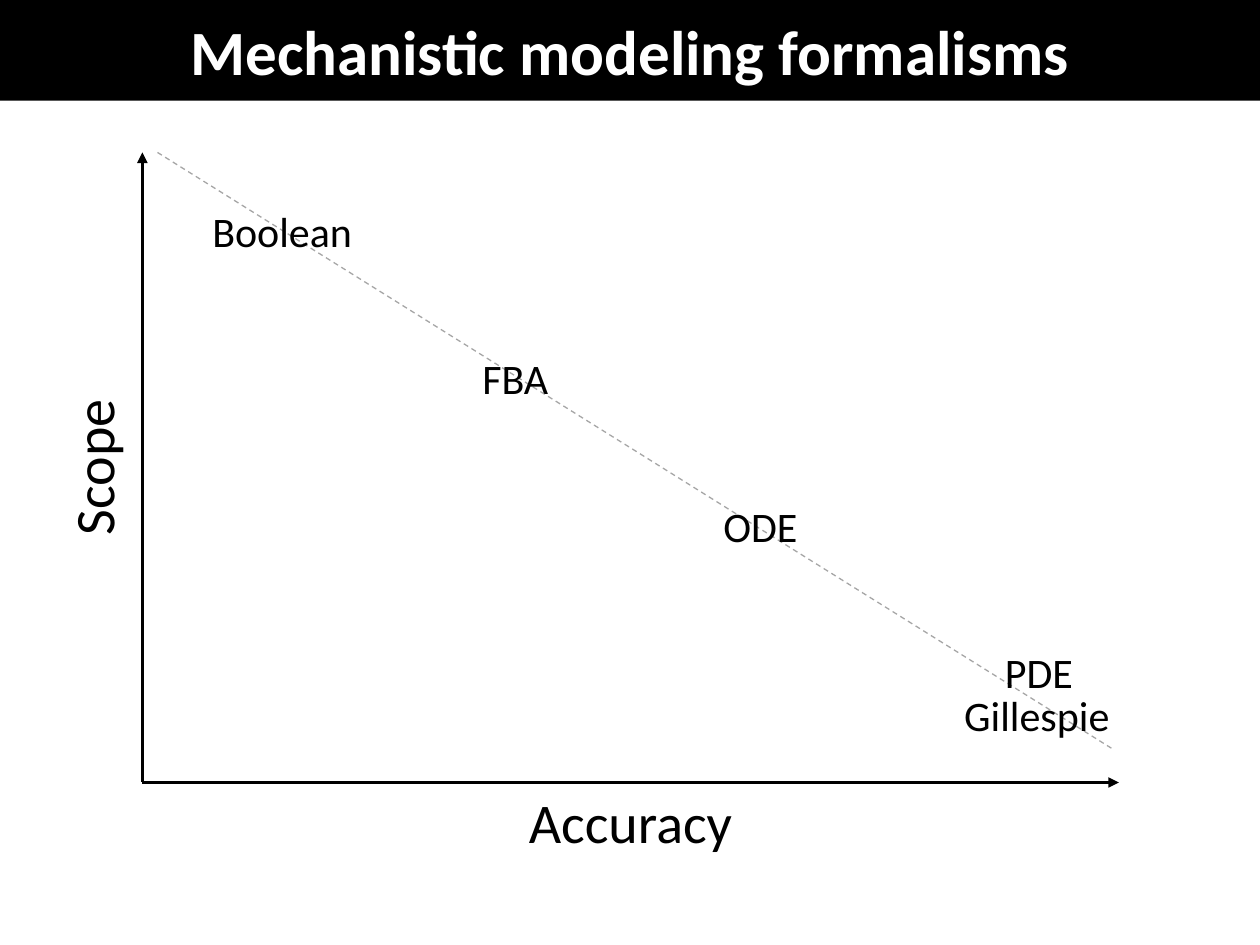
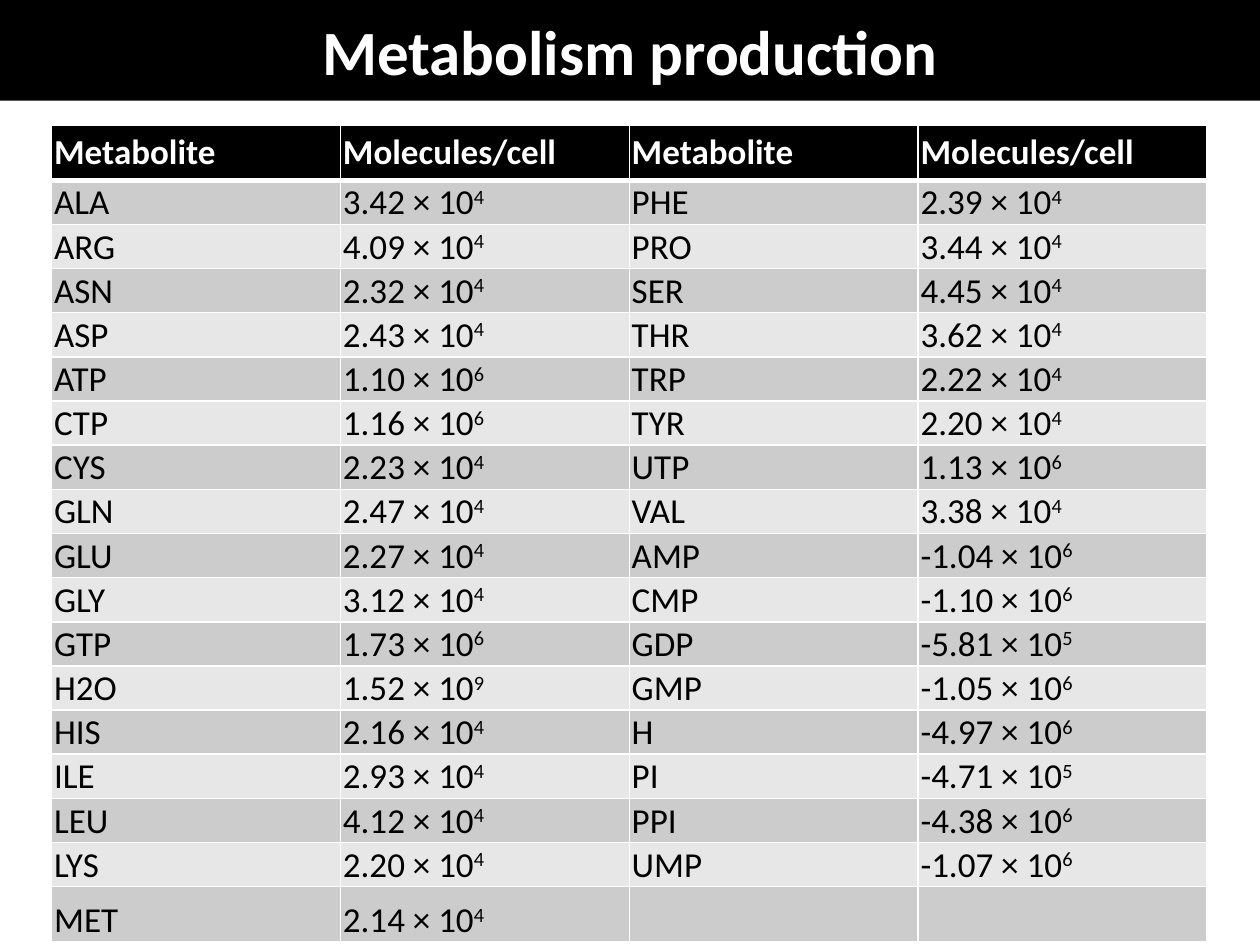
from lxml import etree
from pptx import Presentation
from pptx.dml.color import RGBColor
from pptx.enum import dml, shapes, text
from pptx.oxml import ns
from pptx.util import Inches, Pt

FONT = "Calibri"
BLACK, WHITE = "000000", "FFFFFF"
BANDS = ["E7E7E7", "CCCCCC"]


def rgb(value):
    return RGBColor.from_string(value)


def write(tf, content, size=20, color=BLACK, bold=False, align=text.PP_ALIGN.LEFT):
    """Fill a text frame; what follows a ^ is set as superscript."""
    p = tf.paragraphs[0]
    p.alignment = align
    for i, part in enumerate(content.split("^")):
        r = p.add_run()
        r.text = part
        r.font.name, r.font.size, r.font.bold = FONT, Pt(size), bold
        r.font.color.rgb = rgb(color)
        if i:
            r._r.get_or_add_rPr().set("baseline", "30000")


prs = Presentation()
prs.slide_width, prs.slide_height = Inches(10), Inches(7.5)

# Title band on every slide
slides = []
for title in ["Mechanistic modeling formalisms", "Metabolism production"]:
    slide = prs.slides.add_slide(prs.slide_layouts[6])
    band = slide.shapes.add_shape(shapes.MSO_SHAPE.RECTANGLE, 0, 0, prs.slide_width, Inches(0.8))
    band.shadow.inherit = False
    band.fill.solid()
    band.fill.fore_color.rgb = rgb(BLACK)
    band.line.fill.background()
    tf = band.text_frame
    tf.margin_left = tf.margin_right = tf.margin_top = tf.margin_bottom = 0
    tf.vertical_anchor = text.MSO_ANCHOR.MIDDLE
    write(tf, title, size=36, color=WHITE, bold=True, align=text.PP_ALIGN.CENTER)
    slides.append(slide)
formalisms, production = slides

# Scope against accuracy: trend line, then the two axes as one group
axes = formalisms.shapes.add_group_shape()
ORIGIN = (1.13, 6.21)
for parent, start, end, color, width, is_axis in [
    (formalisms, (1.25, 1.21), (8.84, 5.95), "A6A6A6", 0.75, False),
    (axes, (1.13, 1.21), ORIGIN, BLACK, 2, True),
    (axes, (8.88, 6.21), ORIGIN, BLACK, 2, True),
]:
    line = parent.shapes.add_connector(
        shapes.MSO_CONNECTOR.STRAIGHT, *[Inches(v) for v in start + end])
    line.line.color.rgb = rgb(color)
    line.line.width = Pt(width)
    if is_axis:
        etree.SubElement(line.line._get_or_add_ln(), ns.qn("a:headEnd"), type="triangle")
    else:
        line.line.dash_style = dml.MSO_LINE.DASH
    etree.SubElement(line._element.spPr, ns.qn("a:effectLst"))

for label, left, top, width, height, size, rotation in [
    ("Accuracy", 3.98, 6.2, 2.05, 0.64, 32, 0),
    ("Scope", 0, 3.39, 1.47, 0.64, 32, 270),
    ("ODE", 5.57, 3.92, 0.93, 0.5, 24, 0),
    ("FBA", 3.66, 2.75, 0.86, 0.5, 24, 0),
    ("Boolean", 1.56, 1.58, 1.36, 0.5, 24, 0),
    ("Gillespie", 7.55, 5.42, 1.36, 0.5, 24, 0),
    ("PDE", 7.8, 5.08, 0.89, 0.5, 24, 0),
]:
    box = formalisms.shapes.add_textbox(
        Inches(left), Inches(top), Inches(width), Inches(height))
    box.rotation = rotation
    box.text_frame.word_wrap = False
    box.text_frame.auto_size = text.MSO_AUTO_SIZE.SHAPE_TO_FIT_TEXT
    write(box.text_frame, label, size=size, align=text.PP_ALIGN.CENTER)

# Metabolites: name, mantissa and exponent of molecules per cell
LEFT_HALF = """ALA 3.42 4, ARG 4.09 4, ASN 2.32 4, ASP 2.43 4, ATP 1.10 6, CTP 1.16 6,
    CYS 2.23 4, GLN 2.47 4, GLU 2.27 4, GLY 3.12 4, GTP 1.73 6, H2O 1.52 9,
    HIS 2.16 4, ILE 2.93 4, LEU 4.12 4, LYS 2.20 4, MET 2.14 4"""
RIGHT_HALF = """PHE 2.39 4, PRO 3.44 4, SER 4.45 4, THR 3.62 4, TRP 2.22 4, TYR 2.20 4,
    UTP 1.13 6, VAL 3.38 4, AMP -1.04 6, CMP -1.10 6, GDP -5.81 5, GMP -1.05 6,
    H -4.97 6, PI -4.71 5, PPI -4.38 6, UMP -1.07 6"""
columns = []
for half in (LEFT_HALF, RIGHT_HALF):
    entries = [entry.split() for entry in half.split(",")]
    columns.append(["Metabolite"] + [name for name, _, _ in entries])
    columns.append(["Molecules/cell"] + [f"{m} × 10^{e}" for _, m, e in entries])

n_rows = len(columns[0])
table = production.shapes.add_table(
    n_rows, 4, Inches(0.41), Inches(0.99), Inches(9.17), Inches(6.47)).table
for row in table.rows:
    row.height = Inches(0.35)
table.rows[0].height = Inches(0.43)
table.rows[n_rows - 1].height = Inches(0.44)

for c, column in enumerate(columns):
    for r in range(n_rows):
        cell = table.cell(r, c)
        for side in "LRTB":
            heavy = (r, side) in [(0, "B"), (1, "T")]
            ln = etree.SubElement(cell._tc.get_or_add_tcPr(), ns.qn(f"a:ln{side}"),
                                  w=str(Pt(3 if heavy else 1)))
            fill = etree.SubElement(ln, ns.qn("a:solidFill"))
            etree.SubElement(fill, ns.qn("a:srgbClr"), val=WHITE)
        cell.fill.solid()
        cell.fill.fore_color.rgb = rgb(BANDS[r % 2] if r else BLACK)
        if r >= len(column):
            continue
        cell.margin_left = cell.margin_right = Inches(0.02)
        if r:
            cell.margin_top, cell.margin_bottom = Inches(0.01), 0
            cell.vertical_anchor = text.MSO_ANCHOR.BOTTOM
        write(cell.text_frame, column[r], color=BLACK if r else WHITE, bold=r == 0)

prs.save("out.pptx")
